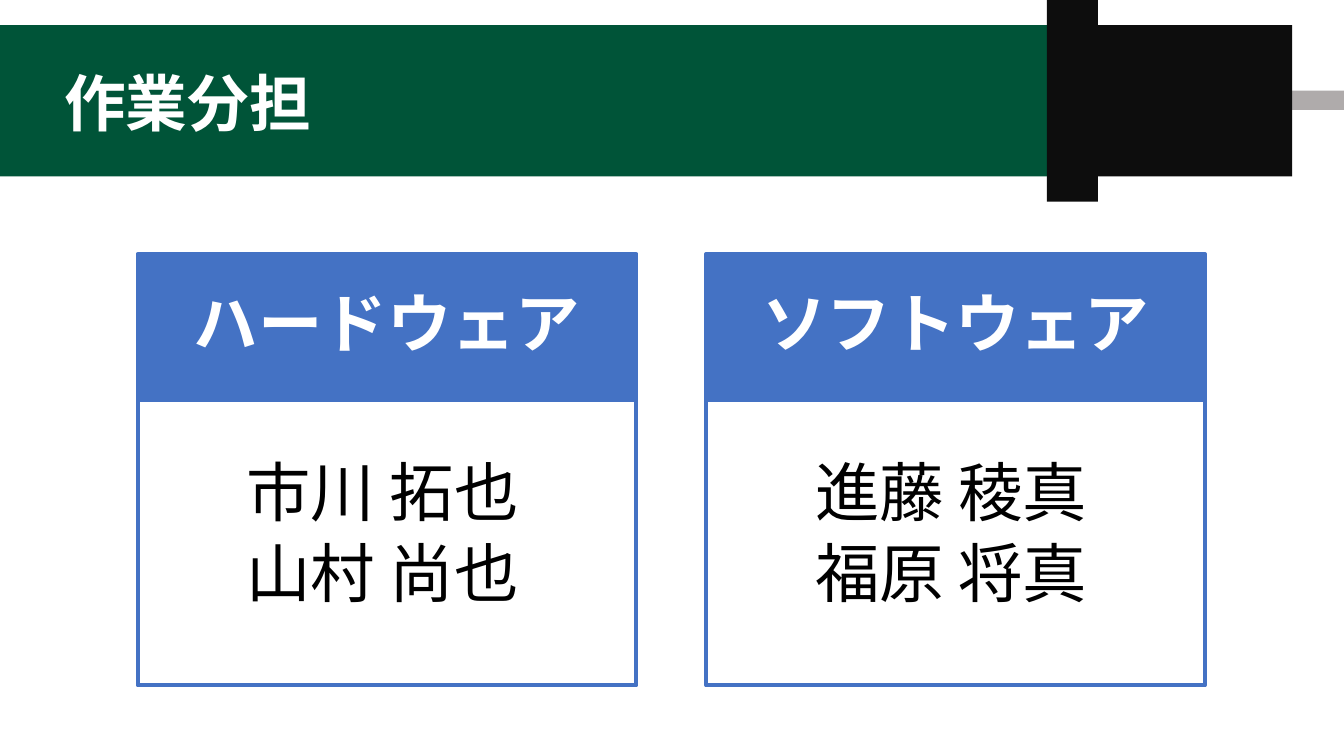
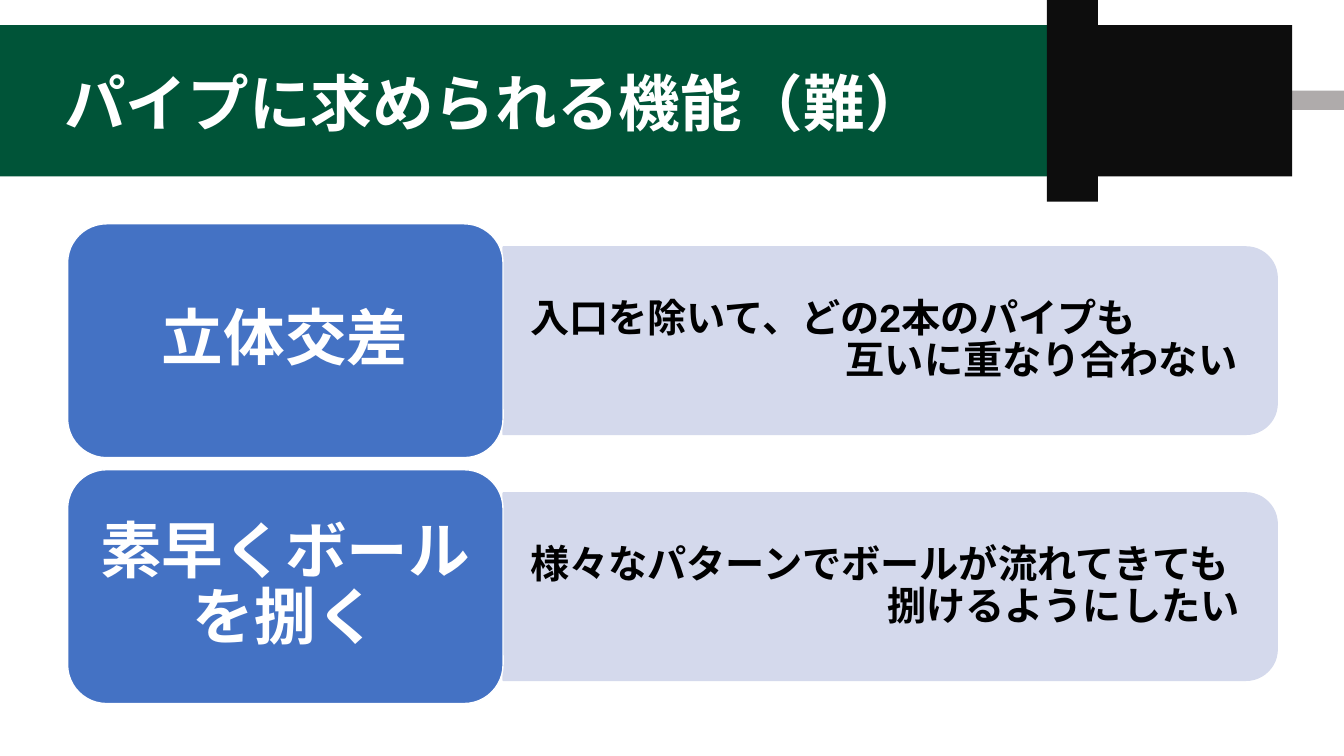
import dataclasses

import pptx
import pptx.dml.color
import pptx.enum.lang
import pptx.enum.shapes
import pptx.enum.text
import pptx.util

SHAPES = pptx.enum.shapes.MSO_SHAPE
ALIGN = pptx.enum.text.PP_ALIGN
Inches = pptx.util.Inches
Pt = pptx.util.Pt

# Grid: 100 columns by 30 rows
SLIDE_WIDTH, SLIDE_HEIGHT = 13.333, 7.5
COLUMN, ROW = SLIDE_WIDTH / 100, SLIDE_HEIGHT / 30


@dataclasses.dataclass(frozen=True)
class Theme:
    font: str = "Arial"
    green: str = "005438"
    black: str = "0D0D0D"
    gray: str = "AFABAB"
    blue: str = "4472C4"
    lavender: str = "D4D9EC"
    white: str = "FFFFFF"
    text: str = "000000"
    title_size: int = 44
    card_size: int = 46
    detail_size: int = 28


THEME = Theme()


def rgb(value):
    return pptx.dml.color.RGBColor.from_string(value)


def grid_box(left, top, width, height):
    """Turn columns and rows into lengths."""
    return (Inches(left * COLUMN), Inches(top * ROW),
            Inches(width * COLUMN), Inches(height * ROW))


def add_block(slide, box, fill, line=None, line_width=1, kind=SHAPES.RECTANGLE):
    shape = slide.shapes.add_shape(kind, *box)
    shape.shadow.inherit = False
    shape.fill.solid()
    shape.fill.fore_color.rgb = rgb(fill)
    if line:
        shape.line.color.rgb = rgb(line)
        shape.line.width = Pt(line_width)
    else:
        shape.line.fill.background()
    return shape


def write(shape, texts, size, color, bold=True, align=ALIGN.CENTER,
          margins=(0.1, 0.05, 0.1, 0.05), space_after=0, hanging=0):
    """Fill a shape with one paragraph per text; margins run left, top, right, bottom."""
    frame = shape.text_frame
    frame.word_wrap = True
    frame.vertical_anchor = pptx.enum.text.MSO_ANCHOR.MIDDLE
    (frame.margin_left, frame.margin_top,
     frame.margin_right, frame.margin_bottom) = map(Inches, margins)
    for index, text in enumerate(texts):
        paragraph = frame.add_paragraph() if index else frame.paragraphs[0]
        paragraph.text = text
        paragraph.alignment = align
        paragraph.line_spacing = 0.9
        paragraph.space_after = Pt(space_after)
        font = paragraph.font
        font.name, font.size, font.bold = THEME.font, Pt(size), bold
        font.color.rgb = rgb(color)
        font.language_id = pptx.enum.lang.MSO_LANGUAGE_ID.JAPANESE
        if hanging:
            properties = paragraph._p.get_or_add_pPr()
            properties.set("marL", str(Inches(hanging)))
            properties.set("indent", str(-Inches(hanging)))


def add_titled_slide(presentation, title):
    slide = presentation.slides.add_slide(presentation.slide_layouts[6])
    # Plug: green band, black collar, gray pin, black body
    for box, color in (
        ((0, 1, 77.9, 6), THEME.green),
        ((77.9, 0, 3.8, 8), THEME.black),
        ((96.15, 3.6, 3.85, 0.76), THEME.gray),
        ((81.7, 1, 14.45, 6), THEME.black),
    ):
        add_block(slide, grid_box(*box), color)
    title_box = slide.shapes.add_textbox(*grid_box(4.05, 1.32, 86.25, 5.8))
    write(title_box, [title], THEME.title_size, THEME.white, align=ALIGN.LEFT)
    return slide


def add_card(slide, left, heading, names):
    top, width, header_height, body_height = 10.08, 37.1, 5.8, 11.32
    header = add_block(slide, grid_box(left, top, width, header_height),
                       THEME.blue, THEME.blue, 3)
    write(header, [heading], THEME.card_size, THEME.white,
          margins=(0.36, 0.2, 0.36, 0.2))
    body = add_block(slide, grid_box(left, top + header_height, width, body_height),
                     THEME.white, THEME.blue, 3)
    write(body, names, THEME.card_size, THEME.text, bold=False,
          margins=(0.27, 0.27, 0.36, 0.4), space_after=8)


def add_feature(slide, top, label, detail, hanging):
    left, label_width, label_height = 5.03, 32.4, 9.28
    panel_left, panel_width, panel_height = left + label_width, 57.6, 7.44
    panel_top = top + (label_height - panel_height) / 2

    # Panel: a quarter turn brings the rounded corners to the right
    x, y, width, height = grid_box(panel_left, panel_top, panel_width, panel_height)
    turned = (x + (width - height) // 2, y + (height - width) // 2, height, width)
    panel = add_block(slide, turned, THEME.lavender, THEME.lavender,
                      kind=SHAPES.ROUND_2_SAME_RECTANGLE)
    panel.rotation = 90
    detail_box = slide.shapes.add_textbox(x, y, width, height)
    write(detail_box, [detail], THEME.detail_size, THEME.text, align=ALIGN.LEFT,
          margins=(0.27, 0.14, 0.27, 0.14), hanging=hanging)

    # Label
    label_block = add_block(slide, grid_box(left, top, label_width, label_height),
                            THEME.blue, THEME.white, kind=SHAPES.ROUNDED_RECTANGLE)
    write(label_block, [label], THEME.title_size, THEME.white,
          margins=(0.18, 0.09, 0.18, 0.09))


def main():
    presentation = pptx.Presentation()
    presentation.slide_width = Inches(SLIDE_WIDTH)
    presentation.slide_height = Inches(SLIDE_HEIGHT)

    # Division of work
    slide = add_titled_slide(presentation, "作業分担")
    cards = (
        ("ハードウェア", ["市川 拓也", "山村 尚也"]),
        ("ソフトウェア", ["進藤 稜真", "福原 将真"]),
    )
    for index, (heading, names) in enumerate(cards):
        add_card(slide, 10.25 + index * 42.3, heading, names)

    # Required functions
    slide = add_titled_slide(presentation, "パイプに求められる機能（難）")
    features = (
        ("立体交差", "入口を除いて、どの2本のパイプも\n互いに重なり合わない", 3.13),
        ("素早くボール\nを捌く",
         "様々なパターンでボールが流れてきても\n捌けるようにしたい", 3.54),
    )
    for index, (label, detail, hanging) in enumerate(features):
        add_feature(slide, 8.88 + index * 9.76, label, detail, hanging)

    presentation.save("out.pptx")


if __name__ == "__main__":
    main()
